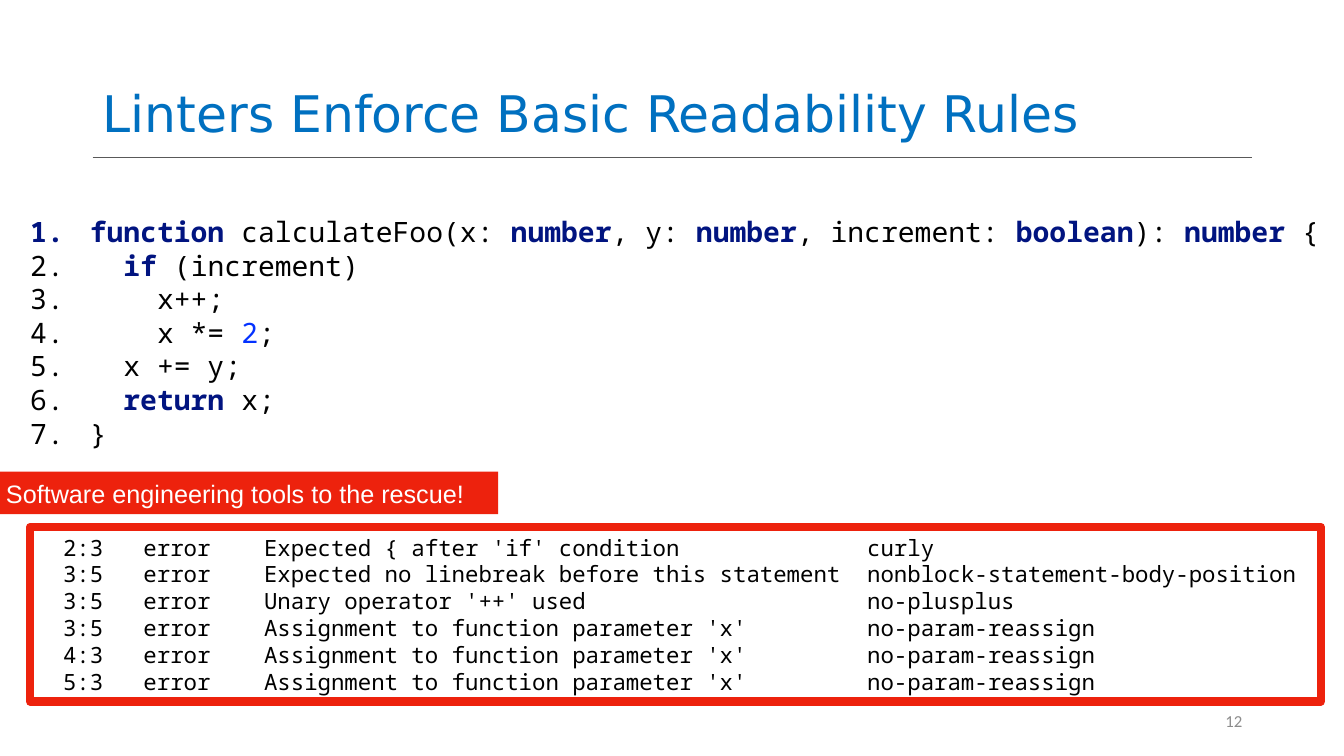
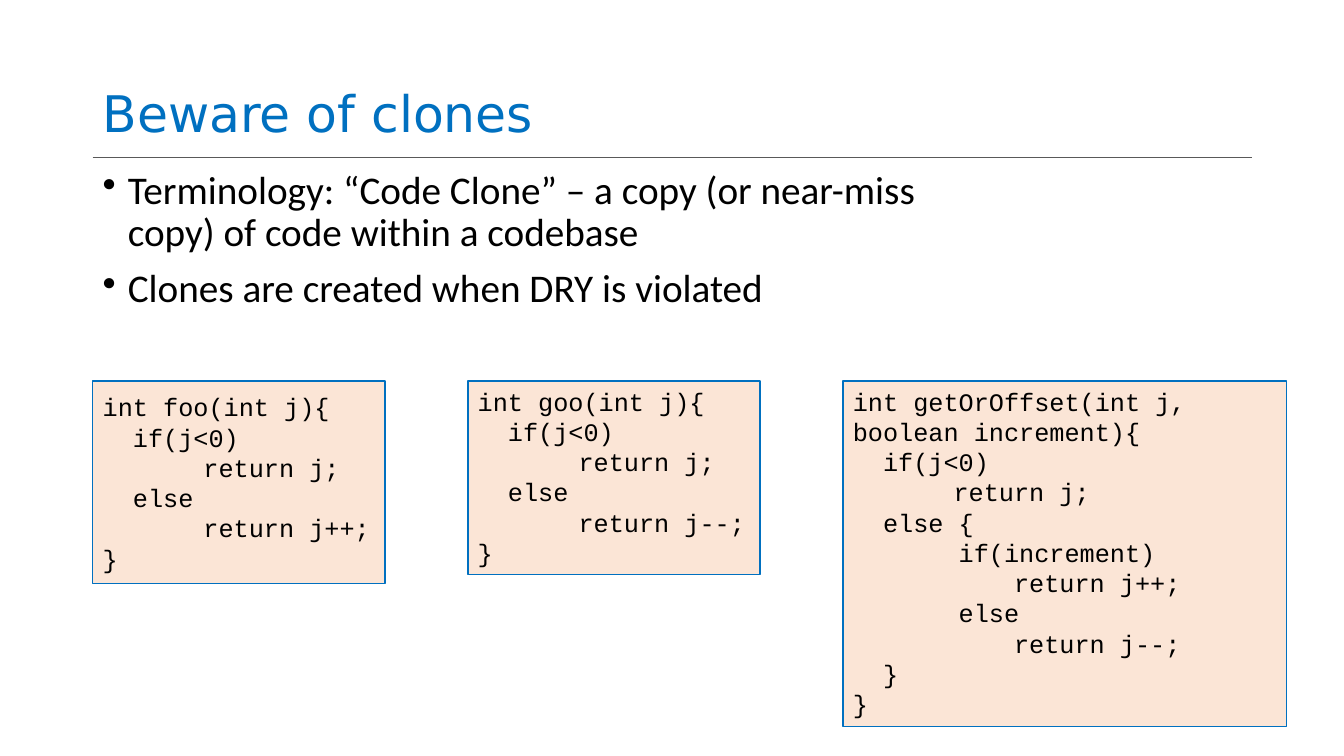
from lxml.etree import SubElement
from pptx import Presentation
from pptx.dml.color import RGBColor
from pptx.enum.shapes import MSO_CONNECTOR, MSO_SHAPE
from pptx.enum.text import MSO_ANCHOR, MSO_AUTO_SIZE, PP_ALIGN
from pptx.oxml.ns import qn
from pptx.util import Inches, Pt

TITLE_BLUE = RGBColor(0x00, 0x70, 0xC0)
RULE_GREY = RGBColor(0x59, 0x59, 0x59)
NUMBER_GREY = RGBColor(0x8C, 0x8C, 0x8C)
KEYWORD_NAVY = RGBColor(0x01, 0x14, 0x80)
LITERAL_BLUE = RGBColor(0x04, 0x32, 0xFF)
ALERT_RED = RGBColor(0xED, 0x22, 0x0D)
CODE_PEACH = RGBColor(0xFB, 0xE5, 0xD6)
BLACK = RGBColor(0x00, 0x00, 0x00)
WHITE = RGBColor(0xFF, 0xFF, 0xFF)

TITLE_FONT, BODY_FONT, LABEL_FONT = "DejaVu Sans", "Calibri", "Arial"
LINT_FONT, CLONE_FONT = "Noto Sans Mono", "Courier New"
LEFT, CONTENT_WIDTH = 0.92, 11.5


def style_text(shape, size, font, colour, anchor=MSO_ANCHOR.TOP, inset=None,
               wrap=True, grow=False):
    frame = shape.text_frame
    frame.word_wrap = wrap
    frame.vertical_anchor = anchor
    frame.auto_size = MSO_AUTO_SIZE.SHAPE_TO_FIT_TEXT if grow else MSO_AUTO_SIZE.NONE
    if inset is not None:
        frame.margin_left = frame.margin_right = Inches(inset)
        frame.margin_top = frame.margin_bottom = Inches(inset)
    for paragraph in frame.paragraphs:
        paragraph.alignment = PP_ALIGN.LEFT
        for run in paragraph.runs:
            run.font.size = Pt(size)
            run.font.name = font
            run.font.color.rgb = colour


def add_bullet(paragraph, hang, tag, **attributes):
    properties = paragraph._p.get_or_add_pPr()
    properties.set("marL", str(Inches(hang)))
    properties.set("indent", str(-Inches(hang)))
    SubElement(properties, qn(tag), attributes)


presentation = Presentation()
presentation.slide_width = Inches(13.33)
presentation.slide_height = Inches(7.5)

# Title and rule on each slide
slides = []
for heading in ("Linters Enforce Basic Readability Rules", "Beware of clones"):
    slide = presentation.slides.add_slide(presentation.slide_layouts[6])
    rule = slide.shapes.add_connector(
        MSO_CONNECTOR.STRAIGHT, Inches(LEFT), Inches(1.56),
        Inches(LEFT + CONTENT_WIDTH), Inches(1.56))
    rule.line.color.rgb = RULE_GREY
    rule.line.width = Pt(0.5)
    SubElement(rule._element.spPr, qn("a:effectLst"))
    title = slide.shapes.add_textbox(
        Inches(LEFT), Inches(0.02), Inches(CONTENT_WIDTH), Inches(1.45))
    title.text_frame.text = heading
    title.text_frame.paragraphs[0].line_spacing = 0.9
    style_text(title, 36, TITLE_FONT, TITLE_BLUE, MSO_ANCHOR.BOTTOM)
    slides.append(slide)
linter_slide, clone_slide = slides

# Slide number
page_number = linter_slide.shapes.add_textbox(
    Inches(9.42), Inches(6.95), Inches(3), Inches(0.4))
page_number.text_frame.text = "12"
style_text(page_number, 12, BODY_FONT, NUMBER_GREY, MSO_ANCHOR.MIDDLE)
page_number.text_frame.paragraphs[0].alignment = PP_ALIGN.RIGHT

# Numbered code with highlighted keywords
KEYWORDS = {"function", "number", "boolean", "if", "return"}
CODE_LINES = [
    ["function ", "calculateFoo(x: ", "number", ", y: ", "number",
     ", increment: ", "boolean", "): ", "number ", "{"],
    ["  ", "if ", "(increment)"],
    ["    x++;"],
    ["    x *= ", "2", ";"],
    ["  x += y;"],
    ["  ", "return ", "x;"],
    ["}"],
]
listing = linter_slide.shapes.add_textbox(
    Inches(0.24), Inches(2.06), Inches(12.99), Inches(2.47))
for index, tokens in enumerate(CODE_LINES):
    frame = listing.text_frame
    paragraph = frame.add_paragraph() if index else frame.paragraphs[0]
    add_bullet(paragraph, 0.59, "a:buAutoNum", type="arabicPeriod")
    for token in tokens:
        paragraph.add_run().text = token
style_text(listing, 20, LINT_FONT, BLACK, MSO_ANCHOR.MIDDLE, 0.06, wrap=False, grow=True)
for paragraph in listing.text_frame.paragraphs:
    for run in paragraph.runs:
        if run.text.strip() in KEYWORDS:
            run.font.bold = True
            run.font.color.rgb = KEYWORD_NAVY
        elif run.text.isdigit():
            run.font.color.rgb = LITERAL_BLUE

# Linter report
report = linter_slide.shapes.add_shape(
    MSO_SHAPE.RECTANGLE, Inches(0.3), Inches(5.23), Inches(12.8), Inches(1.73))
report.shadow.inherit = False
report.fill.background()
report.line.color.rgb = ALERT_RED
report.line.width = Pt(6)
FINDINGS = [
    ("2:3", "Expected { after 'if' condition", "curly"),
    ("3:5", "Expected no linebreak before this statement",
     "nonblock-statement-body-position"),
    ("3:5", "Unary operator '++' used", "no-plusplus"),
    ("3:5", "Assignment to function parameter 'x'", "no-param-reassign"),
    ("4:3", "Assignment to function parameter 'x'", "no-param-reassign"),
    ("5:3", "Assignment to function parameter 'x'", "no-param-reassign"),
]
report.text_frame.text = "\n".join(
    f"  {place}   error    {message:<45}{rule_name}"
    for place, message, rule_name in FINDINGS)
style_text(report, 16, LINT_FONT, BLACK, MSO_ANCHOR.MIDDLE, 0.06, wrap=False, grow=True)

# Red label above the report
rescue = linter_slide.shapes.add_shape(
    MSO_SHAPE.RECTANGLE, Inches(0), Inches(4.68), Inches(4.94), Inches(0.42))
rescue.shadow.inherit = False
rescue.fill.solid()
rescue.fill.fore_color.rgb = ALERT_RED
rescue.line.fill.background()
rescue.text_frame.text = "Software engineering tools to the rescue!"
style_text(rescue, 18, LABEL_FONT, WHITE, MSO_ANCHOR.MIDDLE, 0.06, grow=True)

# Clone terminology
terminology = clone_slide.shapes.add_textbox(
    Inches(LEFT), Inches(1.64), Inches(8.63), Inches(4.76))
terminology.text_frame.text = "\n".join([
    "Terminology: “Code Clone” – a copy (or near-miss copy) of code within a codebase",
    "Clones are created when DRY is violated",
])
for index, paragraph in enumerate(terminology.text_frame.paragraphs):
    add_bullet(paragraph, 0.25, "a:buChar", char="•")
    paragraph.line_spacing = 0.9
    paragraph.space_before = Pt(10 if index else 0)
style_text(terminology, 28, BODY_FONT, BLACK)

# Clone examples: width, height, anchor, code
FOO = """int foo(int j){
  if(j<0)
  \treturn j;
  else
  \treturn j++;
}"""
GOO = FOO.replace("foo", "goo").replace("j++", "j--")
MERGED = """int getOrOffset(int j, boolean increment){
  if(j<0)
  \treturn j;
  else {
       if(increment)
 \t    return j++;
       else
  \t    return j--;
  }
}"""
EXAMPLES = [
    (2.9, 2.01, MSO_ANCHOR.MIDDLE, FOO),
    (2.9, 1.92, MSO_ANCHOR.TOP, GOO),
    (4.4, 3.43, MSO_ANCHOR.TOP, MERGED),
]
for index, (width, height, anchor, code) in enumerate(EXAMPLES):
    example = clone_slide.shapes.add_shape(
        MSO_SHAPE.RECTANGLE, Inches(LEFT + index * 3.72), Inches(3.78),
        Inches(width), Inches(height))
    example.shadow.inherit = False
    example.fill.solid()
    example.fill.fore_color.rgb = CODE_PEACH
    example.line.color.rgb = TITLE_BLUE
    example.line.width = Pt(1)
    example.text_frame.text = code
    for paragraph in example.text_frame.paragraphs:
        tabs = SubElement(paragraph._p.get_or_add_pPr(), qn("a:tabLst"))
        SubElement(tabs, qn("a:tab"), pos=str(Inches(1)), algn="l")
    style_text(example, 18, CLONE_FONT, BLACK, anchor, grow=anchor == MSO_ANCHOR.TOP)

presentation.save("out.pptx")
